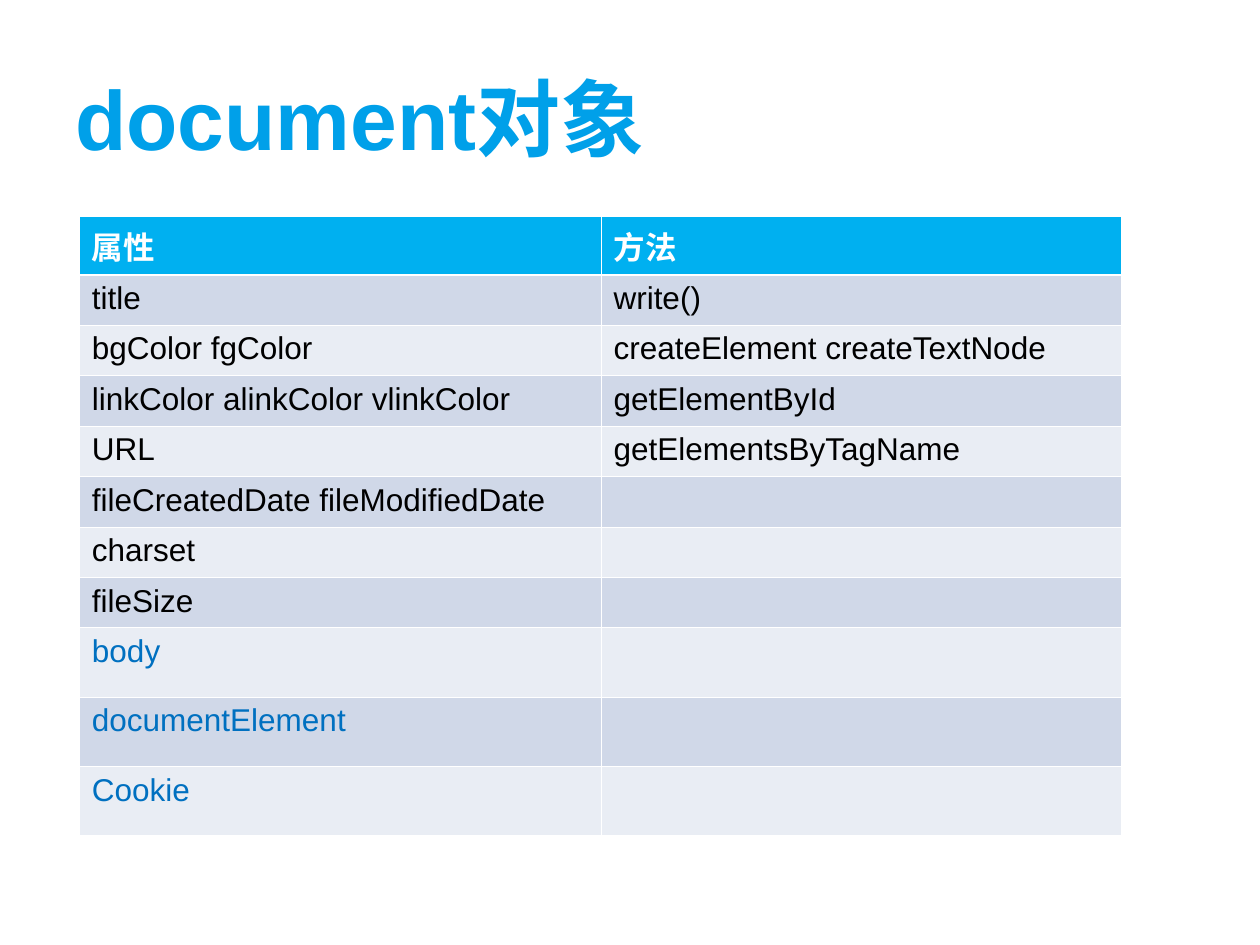
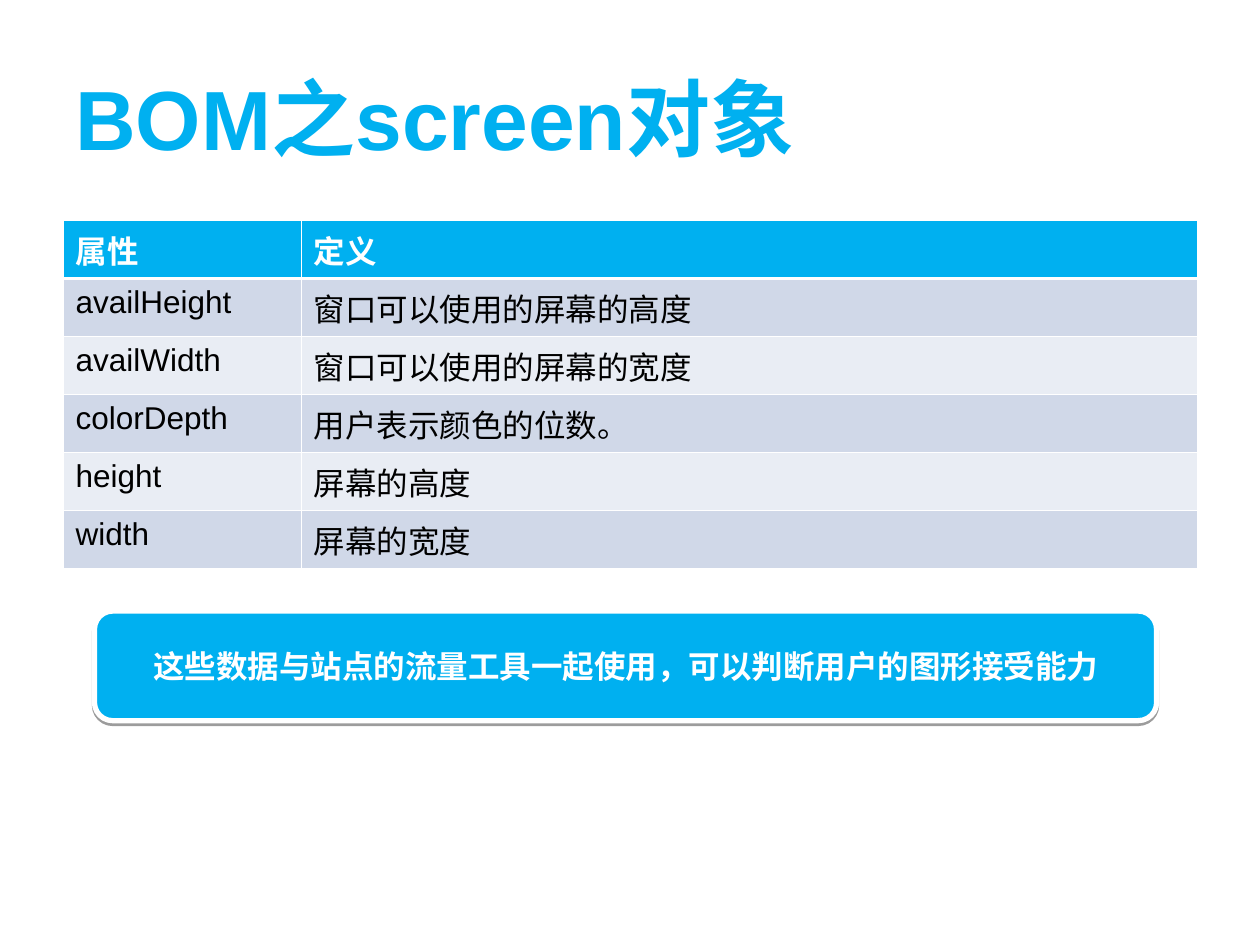
from lxml.etree import SubElement
from pptx import Presentation
from pptx.dml.color import RGBColor
from pptx.enum.shapes import MSO_SHAPE as Shape
from pptx.enum.text import MSO_ANCHOR as Anchor, PP_ALIGN as Align
from pptx.oxml import parse_xml
from pptx.oxml.ns import nsdecls, qn
from pptx.util import Inches, Pt

# Shared style
FONT = "Arial"
SKY, BLUE, LINK = "00B0F0", "00A0E9", "0070C0"
WHITE, BLACK = "FFFFFF", "000000"
BANDS = ["D0D8E8", "E9EDF4"]
THIN, THICK = 0.45, 1.47

# Slide 1: each row is its cells and its height
DOC_ROWS = [
    ("属性", "方法", 0.46),
    ("title", "write()", 0.4),
    ("bgColor fgColor", "createElement createTextNode", 0.39),
    ("linkColor alinkColor vlinkColor", "getElementById", 0.4),
    ("URL", "getElementsByTagName", 0.39),
    ("fileCreatedDate fileModifiedDate", "", 0.4),
    ("charset", "", 0.39),
    ("fileSize", "", 0.39),
    ("body", "", 0.55),
    ("documentElement", "", 0.55),
    ("Cookie", "", 0.55),
]
LINKS = {"body", "documentElement", "Cookie"}

# Slide 2
ROW = 0.46
SCREEN_ROWS = [
    ("属性", "定义", ROW),
    ("availHeight", "窗口可以使用的屏幕的高度", ROW),
    ("availWidth", "窗口可以使用的屏幕的宽度", ROW),
    ("colorDepth", "用户表示颜色的位数。", ROW),
    ("height", "屏幕的高度", ROW),
    ("width", "屏幕的宽度", ROW),
]
NOTE = "这些数据与站点的流量工具一起使用，可以判断用户的图形接受能力"


def rgb(code):
    return RGBColor.from_string(code)


def paint(item, code):
    item.fill.solid()
    item.fill.fore_color.rgb = rgb(code)


def write(frame, text, size, color, bold=False):
    para = frame.paragraphs[0]
    para.text = text
    font = para.font
    font.name, font.size, font.bold = FONT, Pt(size), bold
    font.color.rgb = rgb(color)
    return para


def add_title(slide, text, color):
    box = slide.shapes.add_textbox(Inches(0.5), Inches(0.3), Inches(9), Inches(1.25))
    frame = box.text_frame
    frame.word_wrap = True
    frame.vertical_anchor = Anchor.MIDDLE
    write(frame, text, 48, color, True)


def add_edges(cell, top, base):
    """White cell borders, which must come before the fill."""
    props = cell._tc.get_or_add_tcPr()
    edges = [("L", THIN), ("R", THIN), ("T", top), ("B", base)]
    for spot, (side, width) in enumerate(edges):
        line = parse_xml(
            f'<a:ln{side} {nsdecls("a")} w="{Pt(width)}"><a:solidFill>'
            f'<a:srgbClr val="{WHITE}"/></a:solidFill></a:ln{side}>')
        props.insert(spot, line)


def add_grid(slide, left, top, widths, rows):
    size = Inches(sum(widths)), Inches(sum(row[-1] for row in rows))
    table = slide.shapes.add_table(
        len(rows), len(widths), Inches(left), Inches(top), *size).table
    for col, width in zip(table.columns, widths):
        col.width = Inches(width)
    for r, (*texts, height) in enumerate(rows):
        table.rows[r].height = Inches(height)
        head = r == 0
        for c, text in enumerate(texts):
            cell = table.cell(r, c)
            color = WHITE if head else LINK if text in LINKS else BLACK
            write(cell.text_frame, text, 18, color, head)
            paint(cell, SKY if head else BANDS[(r - 1) % 2])
            add_edges(cell, THICK if r == 1 else THIN, THICK if head else THIN)


def add_shade(shape):
    """Hard shadow straight below the shape."""
    shape.shadow.inherit = False
    effects = shape._element.spPr.find(qn("a:effectLst"))
    shade = SubElement(effects, qn("a:outerShdw"), blurRad="0", dist=str(Pt(1.6)),
                       dir="5400000", rotWithShape="0")
    color = SubElement(shade, qn("a:srgbClr"), val=BLACK)
    SubElement(color, qn("a:alpha"), val="38000")


def add_note(slide, text):
    note = slide.shapes.add_shape(
        Shape.ROUNDED_RECTANGLE, Inches(0.75), Inches(4.85), Inches(8.43), Inches(0.87))
    paint(note, SKY)
    note.line.color.rgb = rgb(WHITE)
    note.line.width = Pt(3)
    add_shade(note)
    frame = note.text_frame
    frame.word_wrap = True
    frame.vertical_anchor = Anchor.MIDDLE
    write(frame, text, 18, WHITE, True).alignment = Align.CENTER


def main():
    deck = Presentation()
    deck.slide_width, deck.slide_height = Inches(10), Inches(7.5)
    blank = deck.slide_layouts[6]

    # The document object
    slide = deck.slides.add_slide(blank)
    add_title(slide, "document对象", BLUE)
    add_grid(slide, 0.63, 1.72, [4.14, 4.13], DOC_ROWS)

    # The screen object
    slide = deck.slides.add_slide(blank)
    add_title(slide, "BOM之screen对象", SKY)
    add_grid(slide, 0.5, 1.75, [1.89, 7.11], SCREEN_ROWS)
    add_note(slide, NOTE)

    deck.save("out.pptx")


if __name__ == "__main__":
    main()
